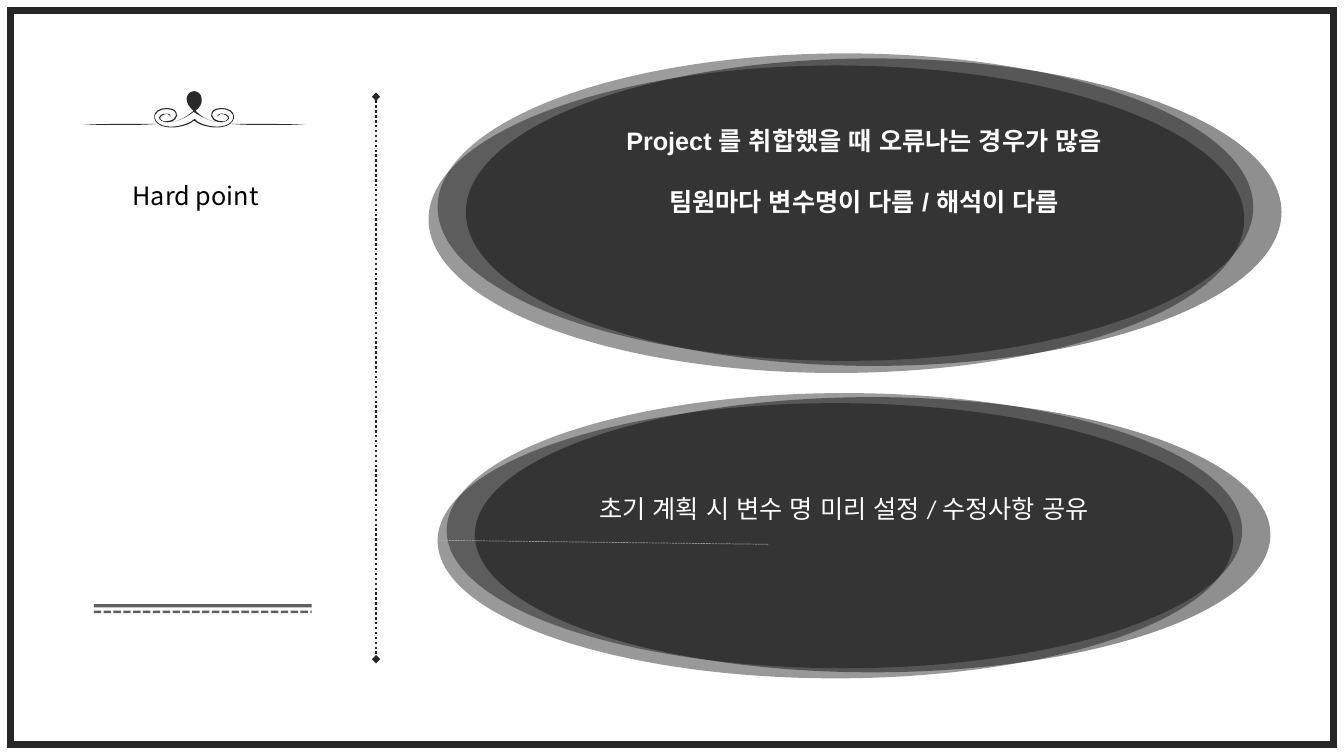
from lxml import etree
from pptx import Presentation, util as u
from pptx.dml.color import RGBColor
from pptx.enum import dml, lang, shapes, text
from pptx.oxml.ns import qn

# The grid is 133.3 columns by 75 rows of 0.1 inch cells.


def grid(*cells):
    return [u.Inches(n / 10) for n in cells]


def tint(fill, shade, share=100):
    """Fill with a hex colour at an opacity given in percent."""
    fill.solid()
    fill.fore_color.rgb = RGBColor.from_string(shade)
    if share < 100:
        color = fill._xPr.find(qn("a:solidFill"))[0]
        etree.SubElement(color, qn("a:alpha"), val=str(share * 1000))


deck = Presentation()
deck.slide_width, deck.slide_height = grid(133.3, 75)
slide = deck.slides.add_slide(deck.slide_layouts[5])
items = slide.shapes

# Frame
frame = items.add_shape(shapes.MSO_SHAPE.RECTANGLE, *grid(1.05, 1.05, 131.2, 72.8))
frame.shadow.inherit = False
frame.fill.background()
tint(frame.line.fill, "262626")
frame.line.width = u.Pt(5)
etree.SubElement(frame.line._ln, qn("a:miter"), lim="800000")

# Ovals: three loose layers in each of two stacks
stacks = [
    (80.9, 30.5, [(43.4, 5.3), (46.2, 5.8), (42.5, 6.5)]),
    (78.9, 27.3, [(44.3, 39), (47.1, 39.4), (43.4, 40)]),
]
for wide, high, spots in stacks:
    stack = items.add_group_shape().shapes
    for (left, top), share in zip(spots, (39, 44, 40)):
        oval = stack.add_shape(shapes.MSO_SHAPE.OVAL, *grid(left, top, wide, high))
        oval.shadow.inherit = False
        oval.line.fill.background()
        tint(oval.fill, "000000", share)

# Rules
dash = dml.MSO_LINE
rules = [
    ((37.3, 9.6, 37.3, 65.4), "262626", 100, 1.75, dash.ROUND_DOT, True),
    ((9.3, 60.7, 30.9, 60.7), "404040", 83, 1.75, dash.SQUARE_DOT, False),
    ((9.3, 60.1, 30.9, 60.1), "404040", 83, 2.25, dash.SOLID, False),
    ((76.2, 54, 43.4, 53.6), "AFABAB", 80, 0.5, dash.SQUARE_DOT, False),
]
for ends, shade, share, width, style, tipped in rules:
    rule = items.add_connector(shapes.MSO_CONNECTOR.STRAIGHT, *grid(*ends))
    tint(rule.line.fill, shade, share)
    rule.line.width = u.Pt(width)
    rule.line.dash_style = style
    if tipped:
        for tip in ("a:headEnd", "a:tailEnd"):
            etree.SubElement(rule.line._ln, qn(tip), type="diamond")
    etree.SubElement(rule._element.spPr, qn("a:effectLst"))

# Ornament: cubic curves, each a start point and then three points a bend
drop = [
    (19.2, 11), (18.8, 10.7), (18.5, 10.2), (18.5, 9.8),
    (18.6, 8.8), (19.9, 8.8), (20, 9.8), (20.1, 10.2), (19.8, 10.7), (19.4, 11),
    (19.9, 11.5), (20.6, 12), (21.5, 12.1), (20.7, 12), (19.8, 11.5), (19.2, 11.1),
    (18.7, 11.5), (17.9, 12), (17, 12.1), (17.9, 12), (18.6, 11.5), (19.2, 11),
]
dart = [
    (26.6, 12.4), (25.5, 12.4), (24.2, 12.4), (23, 12.3),
    (24.3, 12.3), (25.5, 12.3), (26.6, 12.3), (27.8, 12.3), (29, 12.3), (30.3, 12.4),
    (29, 12.4), (26.6, 12.4), (26.6, 12.4),
]
curl = [
    (19.3, 12), (19.6, 12.3), (20.2, 12.5), (20.8, 12.6),
    (22.8, 12.9), (23.5, 11.9), (23.1, 11.2), (22.9, 10.8), (22.1, 10.6), (21.4, 10.8),
    (20.7, 11.1), (20.8, 11.9), (21.6, 12.1), (22, 12.2), (22.5, 12.1), (22.7, 11.8),
    (22.8, 11.6), (22.5, 11.3), (22.2, 11.3), (21.8, 11.2), (21.5, 11.4), (21.6, 11.6),
    (21.6, 11.5), (21.7, 11.4), (21.9, 11.3), (22.3, 11.3), (22.7, 11.6), (22.6, 11.8),
    (22.4, 12.1), (22, 12.1), (21.7, 12), (20.9, 11.8), (20.8, 11.1), (21.5, 10.9),
    (22.1, 10.7), (22.9, 10.9), (23.1, 11.4), (23.3, 12), (22.6, 12.8), (20.8, 12.5),
    (20.3, 12.4), (19.6, 12.2), (19.3, 11.8),
]
flip = [[(38.5 - x, y) for x, y in half] for half in (dart, curl)]
crest = items.add_group_shape().shapes
for bends in (drop, dart, flip[0], curl + flip[1][-2::-1]):
    dots = [grid(*spot) for spot in bends]
    pen = crest.build_freeform(*dots[0])
    pen.add_line_segments(dots[1:], close=True)
    shape = pen.convert_to_shape()
    shape.shadow.inherit = False
    shape.line.fill.background()
    tint(shape.fill, "000000", 84)
    # Join each three straight steps into one curve
    steps = list(shape._element.iter(qn("a:lnTo")))
    for i in range(0, len(steps) - 2, 3):
        bend = etree.Element(qn("a:cubicBezTo"))
        steps[i].addprevious(bend)
        for step in steps[i:i + 3]:
            bend.append(step[0])
            step.getparent().remove(step)

# Wording
mid, top = text.MSO_ANCHOR.MIDDLE, text.MSO_ANCHOR.TOP
notes = [
    (items.title, (8, 17.4, 22.8, 4), mid, 0.5, "Noto Sans CJK SC", "000000", False,
     ["Hard point"]),
    (items.add_textbox(0, 0, 0, 0), (51.1, 11.9, 69.2, 28.3), top, 0.5, "Arial", "FFFFFF", True,
     ["Project 를 취합했을 때 오류나는 경우가 많음", "팀원마다 변수명이 다름 / 해석이 다름"]),
    (items.add_textbox(0, 0, 0, 0), (49.1, 42.4, 69.2, 19.2), mid, 3.7, "Calibri", "FFFFFF", False,
     ["초기 계획 시 변수 명 미리 설정 / 수정사항 공유"]),
]
for box, place, anchor, foot, face, shade, bold, lines in notes:
    box.left, box.top, box.width, box.height = grid(*place)
    body = box.text_frame
    body.word_wrap = True
    body.auto_size = text.MSO_AUTO_SIZE.NONE
    body.vertical_anchor = anchor
    body.margin_bottom = grid(foot)[0]
    for i, line in enumerate(lines):
        para = body.add_paragraph() if i else body.paragraphs[0]
        para.alignment = text.PP_ALIGN.CENTER
        para.space_before = u.Pt(22 if i else 0)
        run = para.add_run()
        run.text = line
        run.font.name, run.font.size, run.font.bold = face, u.Pt(18), bold
        run.font.language_id = lang.MSO_LANGUAGE_ID.KOREAN
        tint(run.font.fill, shade)
        etree.SubElement(run.font._rPr, qn("a:ea"), typeface="Noto Sans CJK SC")

deck.save("out.pptx")
